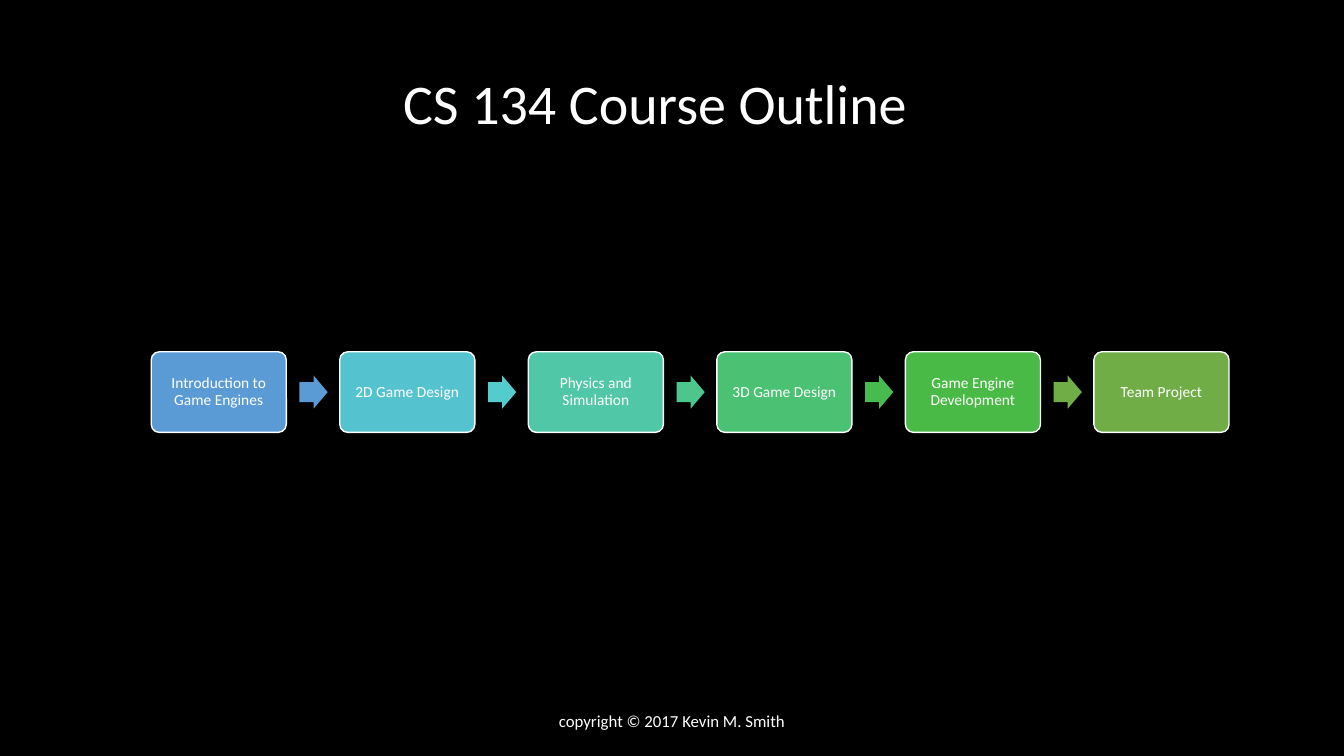
from pptx import Presentation
from pptx.util import Inches, Pt
from pptx.dml.color import RGBColor
from pptx.enum.shapes import MSO_SHAPE as Shape
from pptx.enum.text import PP_ALIGN as Align, MSO_ANCHOR as Anchor, MSO_AUTO_SIZE as Fit

# Content
TITLE = "CS 134 Course Outline"
FOOTER = "copyright © 2017 Kevin M. Smith"
STEPS = [  # text, box colour, colour of the arrow that follows
    ("Introduction to Game Engines", "5B9BD5", "5B9BD5"),
    ("2D Game Design", "55C3CF", "54CCCD"),
    ("Physics and Simulation", "50C8A7", "4DC58D"),
    ("3D Game Design", "4BC174", "48BB4F"),
    ("Game Engine Development", "4ABA46", "70AD47"),
    ("Team Project", "70AD47", None),
]
FONT, WHITE, BLACK = "Calibri", "FFFFFF", "000000"

# Grid, in inches
WIDE, HIGH = 13.33, 7.5
LEFT, PITCH, MID = 1.5, 1.87, 3.89
BOX_W, BOX_H = 1.34, 0.8
ARROW_W, ARROW_H, GAP = 0.28, 0.33, 0.13
FOOT_W, FOOT_H = 4.5, 0.4

deck = Presentation()
deck.slide_width, deck.slide_height = Inches(WIDE), Inches(HIGH)
slide = deck.slides.add_slide(deck.slide_layouts[6])


def paint(fill, color):
    fill.solid()
    fill.fore_color.rgb = RGBColor.from_string(color)


def write(shape, text, size, align=Align.CENTER, anchor=Anchor.MIDDLE):
    frame = shape.text_frame
    frame.word_wrap = True
    frame.vertical_anchor = anchor
    para = frame.paragraphs[0]
    para.alignment = align
    run = para.add_run()
    run.text = text
    run.font.name, run.font.size = FONT, Pt(size)
    paint(run.font.fill, WHITE)
    return frame


def draw(kind, x, w, h, color, *adjust):
    """Add a filled shape centred on the row of steps."""
    shape = slide.shapes.add_shape(
        kind, Inches(x), Inches(MID - h / 2), Inches(w), Inches(h))
    shape.shadow.inherit = False
    paint(shape.fill, color)
    for i, value in enumerate(adjust):
        shape.adjustments[i] = value
    return shape


def label(x, y, w, h):
    return slide.shapes.add_textbox(Inches(x), Inches(y), Inches(w), Inches(h))


paint(slide.background.fill, BLACK)

# Title
frame = write(label(3.9, 0.63, 5.25, 0.77), TITLE, 40, Align.LEFT, Anchor.TOP)
frame.word_wrap = False
frame.auto_size = Fit.SHAPE_TO_FIT_TEXT

# Chain of steps
for i, (text, color, next_color) in enumerate(STEPS):
    x = LEFT + i * PITCH
    box = draw(Shape.ROUNDED_RECTANGLE, x, BOX_W, BOX_H, color, 0.1)
    paint(box.line.fill, WHITE)
    box.line.width = Pt(1)
    frame = write(box, text, 11)
    frame.margin_left = frame.margin_right = Inches(0.05)
    frame.margin_top = frame.margin_bottom = Inches(0.05)
    frame.paragraphs[0].line_spacing = 0.9
    if next_color:
        arrow = draw(Shape.RIGHT_ARROW, x + BOX_W + GAP, ARROW_W, ARROW_H,
                     next_color, 0.6, 0.5)
        arrow.line.fill.background()

# Footer
write(label((WIDE - FOOT_W) / 2, 6.95, FOOT_W, FOOT_H), FOOTER, 12)

deck.save("out.pptx")
